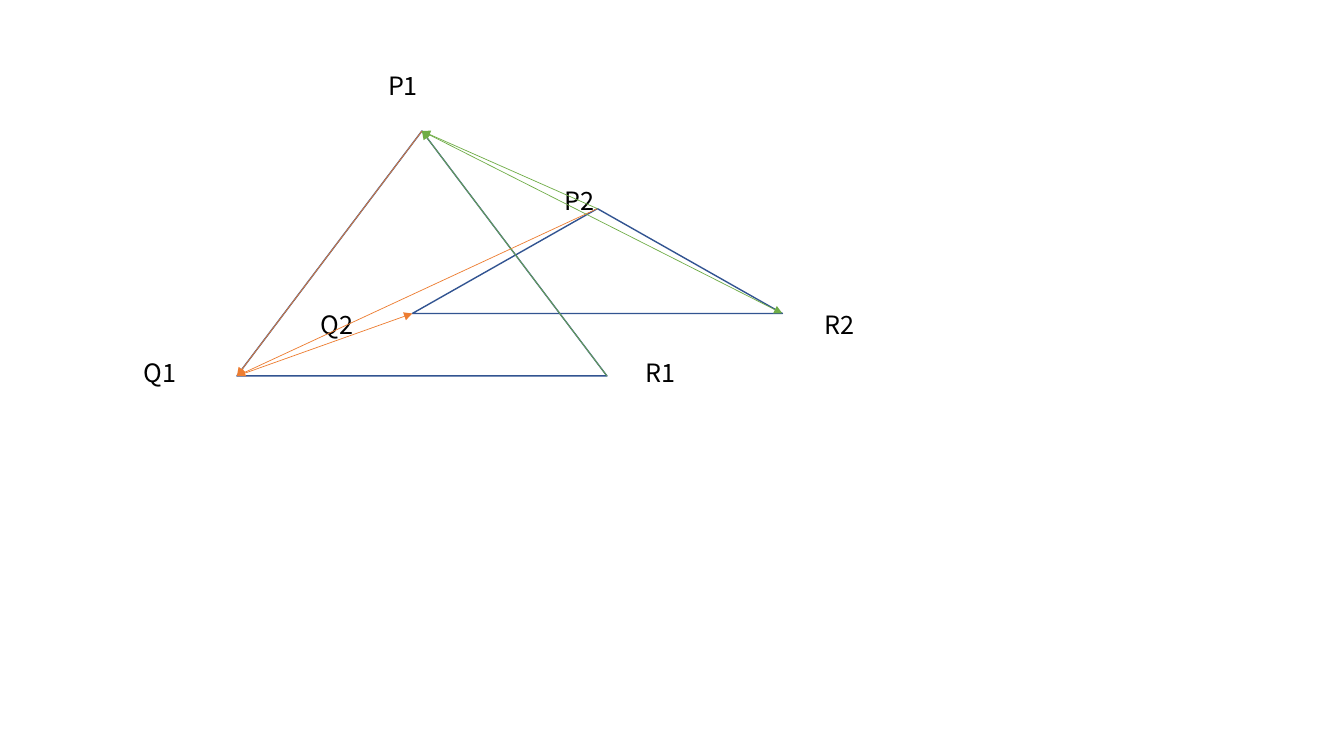
"""Draw two triangles whose corners are joined by coloured arrows."""
from dataclasses import dataclass

from lxml.etree import SubElement
from pptx import Presentation
from pptx.dml.color import RGBColor
from pptx.enum.shapes import MSO_CONNECTOR, MSO_SHAPE
from pptx.enum.text import MSO_ANCHOR, MSO_AUTO_SIZE
from pptx.oxml.ns import qn
from pptx.shapes.shapetree import GroupShapes, SlideShapes
from pptx.util import Inches, Pt

BLUE, ORANGE, GREEN, BLACK = "325491", "ED7D31", "70AD47", "000000"
FRAME_FORMAT = {
    "word_wrap": True,
    "auto_size": MSO_AUTO_SIZE.SHAPE_TO_FIT_TEXT,
    "vertical_anchor": MSO_ANCHOR.TOP,
}
FONT_FORMAT = {"name": "Noto Sans CJK SC", "size": Pt(18)}


@dataclass(frozen=True)
class Point:
    x: float
    y: float


@dataclass(frozen=True)
class Label:
    text: str
    left: float
    top: float
    width: float
    height: float


@dataclass(frozen=True)
class Triangle:
    left: float
    top: float
    width: float
    height: float
    labels: tuple[Label, ...]

    @property
    def p(self) -> Point:
        return Point(self.left + self.width / 2, self.top)

    @property
    def q(self) -> Point:
        return Point(self.left, self.top + self.height)

    @property
    def r(self) -> Point:
        return Point(self.left + self.width, self.top + self.height)


@dataclass(frozen=True)
class Route:
    color: str
    stops: tuple[Point, ...]


FIRST = Triangle(2.35, 1.3, 3.67, 2.43, (
    Label("P1", 3.75, 0.65, 0.85, 0.45),
    Label("R1", 6.3, 3.5, 0.87, 0.45),
    Label("Q1", 1.33, 3.5, 0.73, 0.4),
))
SECOND = Triangle(4.09, 2.07, 3.67, 1.04, (
    Label("P2", 5.5, 1.79, 0.85, 0.19),
    Label("R2", 8.08, 3.02, 0.87, 0.19),
    Label("Q2", 3.08, 3.02, 1.3, 0.19),
))
ROUTES = (
    Route(ORANGE, (FIRST.p, FIRST.q)),
    Route(ORANGE, (SECOND.p, FIRST.q, SECOND.q)),
    Route(GREEN, (SECOND.p, FIRST.p)),
    Route(GREEN, (FIRST.r, FIRST.p, SECOND.r)),
)


def rgb(color: str) -> RGBColor:
    return RGBColor.from_string(color)


def draw_label(shapes: GroupShapes, label: Label) -> None:
    box = shapes.add_textbox(
        *map(Inches, (label.left, label.top, label.width, label.height)))
    for name, value in FRAME_FORMAT.items():
        setattr(box.text_frame, name, value)
    span = box.text_frame.paragraphs[0].add_run()
    span.text = label.text
    for name, value in FONT_FORMAT.items():
        setattr(span.font, name, value)
    span.font.color.rgb = rgb(BLACK)


def draw_triangle(shapes: GroupShapes, triangle: Triangle) -> None:
    outline = shapes.add_shape(
        MSO_SHAPE.ISOSCELES_TRIANGLE,
        *map(Inches, (triangle.left, triangle.top, triangle.width, triangle.height)))
    outline.shadow.inherit = False
    outline.fill.background()
    outline.line.color.rgb = rgb(BLUE)
    outline.line.width = Pt(1)
    for label in triangle.labels:
        draw_label(shapes, label)


def draw_arrow(shapes: SlideShapes, start: Point, end: Point, color: str) -> None:
    arrow = shapes.add_connector(
        MSO_CONNECTOR.STRAIGHT, *map(Inches, (start.x, start.y, end.x, end.y)))
    arrow.line.color.rgb = rgb(color)
    arrow.line.width = Pt(0.5)
    SubElement(arrow.line._get_or_add_ln(), qn("a:tailEnd"), type="triangle")
    SubElement(arrow._element.spPr, qn("a:effectLst"))


def main() -> None:
    deck = Presentation()
    deck.slide_width, deck.slide_height = Inches(13.33), Inches(7.5)
    page = deck.slides.add_slide(deck.slide_layouts[6])
    group = page.shapes.add_group_shape()
    for triangle in (FIRST, SECOND):
        draw_triangle(group.shapes, triangle)
    for route in ROUTES:
        for start, end in zip(route.stops, route.stops[1:]):
            draw_arrow(page.shapes, start, end, route.color)
    deck.save("out.pptx")


if __name__ == "__main__":
    main()
